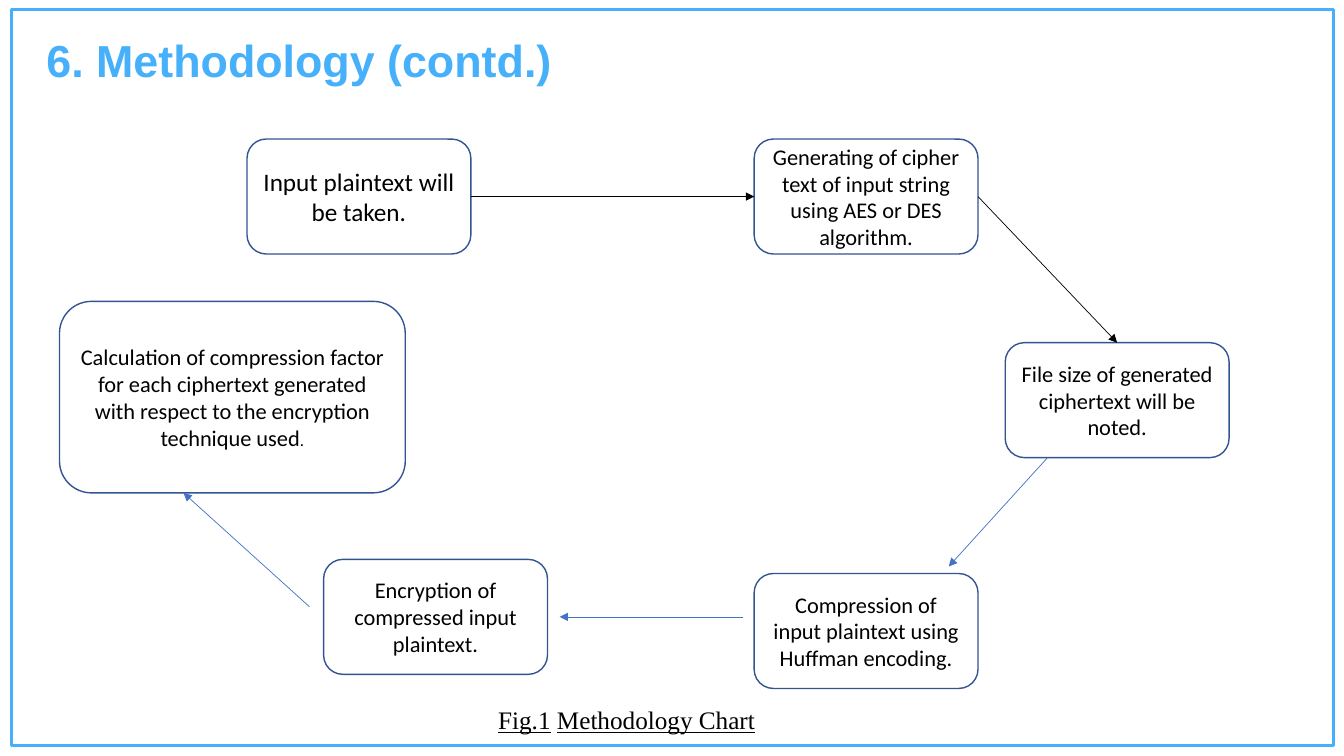
"""Build the methodology slide: a cycle of six steps joined by arrows."""
from dataclasses import dataclass

from lxml.etree import SubElement
from pptx import Presentation
from pptx.dml.color import RGBColor
from pptx.enum.shapes import MSO_CONNECTOR, MSO_SHAPE
from pptx.enum.text import MSO_ANCHOR, PP_ALIGN
from pptx.oxml.ns import qn
from pptx.util import Pt

PX = 9144
SIZE = (1333, 750)
FRAME = (11, 9, 1312, 731)
TITLE = ("6. Methodology (contd.)", (36, 27, 824, 64))
CAPTION = (["Fig.1", " ", "Methodology Chart"], (288, 694, 667, 40))
STEP = (222, 114)
WIDE = (343, 190)
TOP, RIGHT = 0, 3
LEFT = 1


@dataclass(frozen=True)
class Theme:
    sky: str = "46B0FA"
    navy: str = "325491"
    blue: str = "4472C4"
    black: str = "000000"
    white: str = "FFFFFF"
    head: str = "Arial"
    body: str = "Calibri"
    serif: str = "Times New Roman"
    title: int = 32
    large: int = 18
    text: int = 16
    small: int = 12


T = Theme()

STEPS = {
    "input": ((245, 138), STEP, [("Input plaintext will be taken.", T.large)]),
    "cipher": ((748, 138), STEP, [
        ("Generating of cipher text of input string using AES or DES algorithm.", T.text)]),
    "size": ((997, 340), STEP, [
        ("File size of generated ciphertext will be noted.", T.text)]),
    "compress": ((748, 569), STEP, [
        ("Compression of input plaintext using Huffman encoding.", T.text)]),
    "encrypt": ((321, 555), STEP, [
        ("Encryption of compressed input plaintext.", T.text)]),
    "factor": ((59, 299), WIDE, [
        ("Calculation of compression factor for each ciphertext generated "
         "with respect to the encryption technique used", T.text), (".", T.small)]),
}
JOINS = [("input", RIGHT, "cipher", LEFT), ("cipher", RIGHT, "size", TOP)]
ARROWS = [
    ((1039, 454), (941, 562)),
    ((737, 612), (555, 612)),
    ((307, 602), (182, 489)),
]


def emu(*nums):
    return [num * PX for num in nums]


def rgb(code):
    return RGBColor.from_string(code)


def style(font, name, size, color):
    font.name, font.size = name, Pt(size)
    font.color.rgb = rgb(color)


def add_frame(slide):
    frame = slide.shapes.add_shape(MSO_SHAPE.RECTANGLE, *emu(*FRAME))
    frame.shadow.inherit = False
    frame.fill.background()
    frame.line.color.rgb = rgb(T.sky)
    frame.line.width = Pt(2.25)


def add_title(slide):
    words, place = TITLE
    title = slide.shapes.title
    title.left, title.top, title.width, title.height = emu(*place)
    title.text_frame.text = words
    title.text_frame.vertical_anchor = MSO_ANCHOR.TOP
    para = title.text_frame.paragraphs[0]
    para.alignment = PP_ALIGN.LEFT
    style(para.font, T.head, T.title, T.sky)
    para.font.bold = True


def add_caption(slide):
    parts, place = CAPTION
    frame = slide.shapes.add_textbox(*emu(*place)).text_frame
    frame.word_wrap = True
    frame.vertical_anchor = MSO_ANCHOR.MIDDLE
    para = frame.paragraphs[0]
    para.alignment = PP_ALIGN.CENTER
    style(para.font, T.serif, T.large, T.black)
    for part in parts:
        run = para.add_run()
        run.text = part
        run.font.underline = bool(part.strip())


def add_step(slide, spot, size, runs):
    box = slide.shapes.add_shape(MSO_SHAPE.ROUNDED_RECTANGLE, *emu(*spot, *size))
    box.shadow.inherit = False
    box.fill.solid()
    box.fill.fore_color.rgb = rgb(T.white)
    box.line.color.rgb = rgb(T.navy)
    box.line.width = Pt(1)
    box.text_frame.word_wrap = True
    box.text_frame.vertical_anchor = MSO_ANCHOR.MIDDLE
    para = box.text_frame.paragraphs[0]
    para.alignment = PP_ALIGN.CENTER
    style(para.font, T.body, runs[0][1], T.black)
    for words, points in runs:
        run = para.add_run()
        run.text = words
        if points != runs[0][1]:
            run.font.size = Pt(points)
    return box


def add_arrow(slide, start, end, color):
    arrow = slide.shapes.add_connector(MSO_CONNECTOR.STRAIGHT, *emu(*start, *end))
    arrow.line.color.rgb = rgb(color)
    arrow.line.width = Pt(0.5)
    SubElement(arrow.line._get_or_add_ln(), qn("a:tailEnd"), type="triangle")
    SubElement(arrow._element.spPr, qn("a:effectLst"))
    return arrow


def main():
    deck = Presentation()
    deck.slide_width, deck.slide_height = emu(*SIZE)
    slide = deck.slides.add_slide(deck.slide_layouts[5])
    add_frame(slide)
    add_title(slide)
    add_caption(slide)
    boxes = {name: add_step(slide, *step) for name, step in STEPS.items()}
    for first, out, last, into in JOINS:
        arrow = add_arrow(slide, (0, 0), (0, 0), T.black)
        arrow.begin_connect(boxes[first], out)
        arrow.end_connect(boxes[last], into)
    for start, end in ARROWS:
        add_arrow(slide, start, end, T.blue)
    deck.save("out.pptx")


if __name__ == "__main__":
    main()
